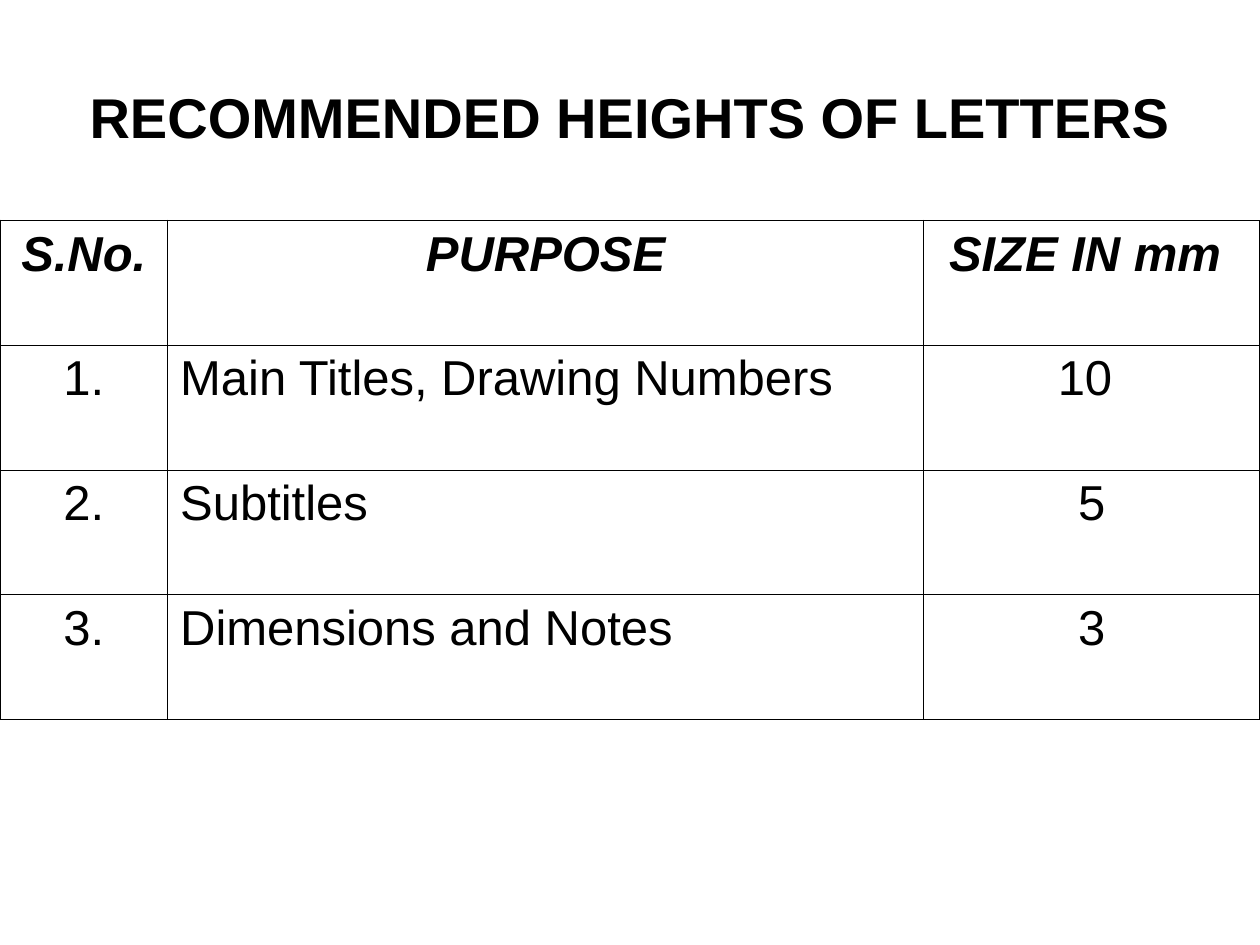
import pptx
import pptx.dml.color
import pptx.enum.text
import pptx.oxml
import pptx.oxml.ns
import pptx.util

Inches = pptx.util.Inches
Pt = pptx.util.Pt
ALIGN = pptx.enum.text.PP_ALIGN
ANCHOR = pptx.enum.text.MSO_ANCHOR

TITLE = "RECOMMENDED HEIGHTS OF LETTERS"
HEADER = ("S.No.", "PURPOSE", "SIZE IN mm ")
ROWS = [
    ("1.", "Main Titles, Drawing Numbers", "10 "),
    ("2.", "Subtitles", "5"),
    ("3.", "Dimensions and Notes", "3"),
]
COLUMN_WIDTHS = (1.33, 6, 2.67)
COLUMN_ALIGNMENTS = (ALIGN.CENTER, ALIGN.LEFT, ALIGN.CENTER)
ROW_HEIGHT = 0.99
THEME = {
    "font": "Arial",
    "ink": "000000",
    "title_size": 32,
    "table_size": 28,
    "space_before": 7,
    "outer_line": 1.08,
    "inner_line": 0.45,
}


def write_text(frame, text, size, bold=False, italic=False, align=ALIGN.CENTER, space_before=0):
    paragraph = frame.paragraphs[0]
    paragraph.alignment = align
    paragraph.space_before = Pt(space_before)
    run = paragraph.add_run()
    run.text = text
    run.font.name = THEME["font"]
    run.font.size = Pt(size)
    run.font.bold = bold
    run.font.italic = italic
    run.font.color.rgb = pptx.dml.color.RGBColor.from_string(THEME["ink"])


def set_borders(cell, widths):
    properties = cell._tc.get_or_add_tcPr()
    for index, (side, width) in enumerate(widths.items()):
        line = pptx.oxml.parse_xml(
            f'<a:ln{side} {pptx.oxml.ns.nsdecls("a")} w="{int(Pt(width))}">'
            f'<a:solidFill><a:srgbClr val="{THEME["ink"]}"/></a:solidFill>'
            f'</a:ln{side}>'
        )
        properties.insert(index, line)


def add_title(slide):
    title = slide.shapes.title
    title.left, title.top = Inches(0.5), Inches(0.3)
    title.width, title.height = Inches(9), Inches(1.25)
    title.text_frame.word_wrap = True
    title.text_frame.vertical_anchor = ANCHOR.MIDDLE
    write_text(title.text_frame, TITLE, THEME["title_size"], bold=True)


def add_heights_table(slide):
    content = [HEADER] + ROWS
    frame = slide.shapes.add_table(
        len(content), len(HEADER), Inches(0), Inches(1.75),
        Inches(sum(COLUMN_WIDTHS)), Inches(ROW_HEIGHT * len(content)),
    )
    table = frame.table
    table.horz_banding = False
    for column, width in zip(table.columns, COLUMN_WIDTHS):
        column.width = Inches(width)
    outer, inner = THEME["outer_line"], THEME["inner_line"]
    last_column = len(HEADER) - 1
    for row_index, texts in enumerate(content):
        table.rows[row_index].height = Inches(ROW_HEIGHT)
        is_header = row_index == 0
        for column_index, text in enumerate(texts):
            cell = table.cell(row_index, column_index)
            cell.fill.background()
            cell.vertical_anchor = ANCHOR.TOP
            write_text(
                cell.text_frame, text, THEME["table_size"],
                bold=is_header, italic=is_header,
                align=ALIGN.CENTER if is_header else COLUMN_ALIGNMENTS[column_index],
                space_before=THEME["space_before"],
            )
            set_borders(cell, {
                "L": outer if column_index == 0 else inner,
                "R": outer if column_index == last_column else inner,
                "T": outer if is_header else inner,
                "B": inner,
            })


def main():
    presentation = pptx.Presentation()
    presentation.slide_width = Inches(10)
    presentation.slide_height = Inches(7.5)
    slide = presentation.slides.add_slide(presentation.slide_layouts[5])
    add_title(slide)
    add_heights_table(slide)
    presentation.save("out.pptx")


if __name__ == "__main__":
    main()
